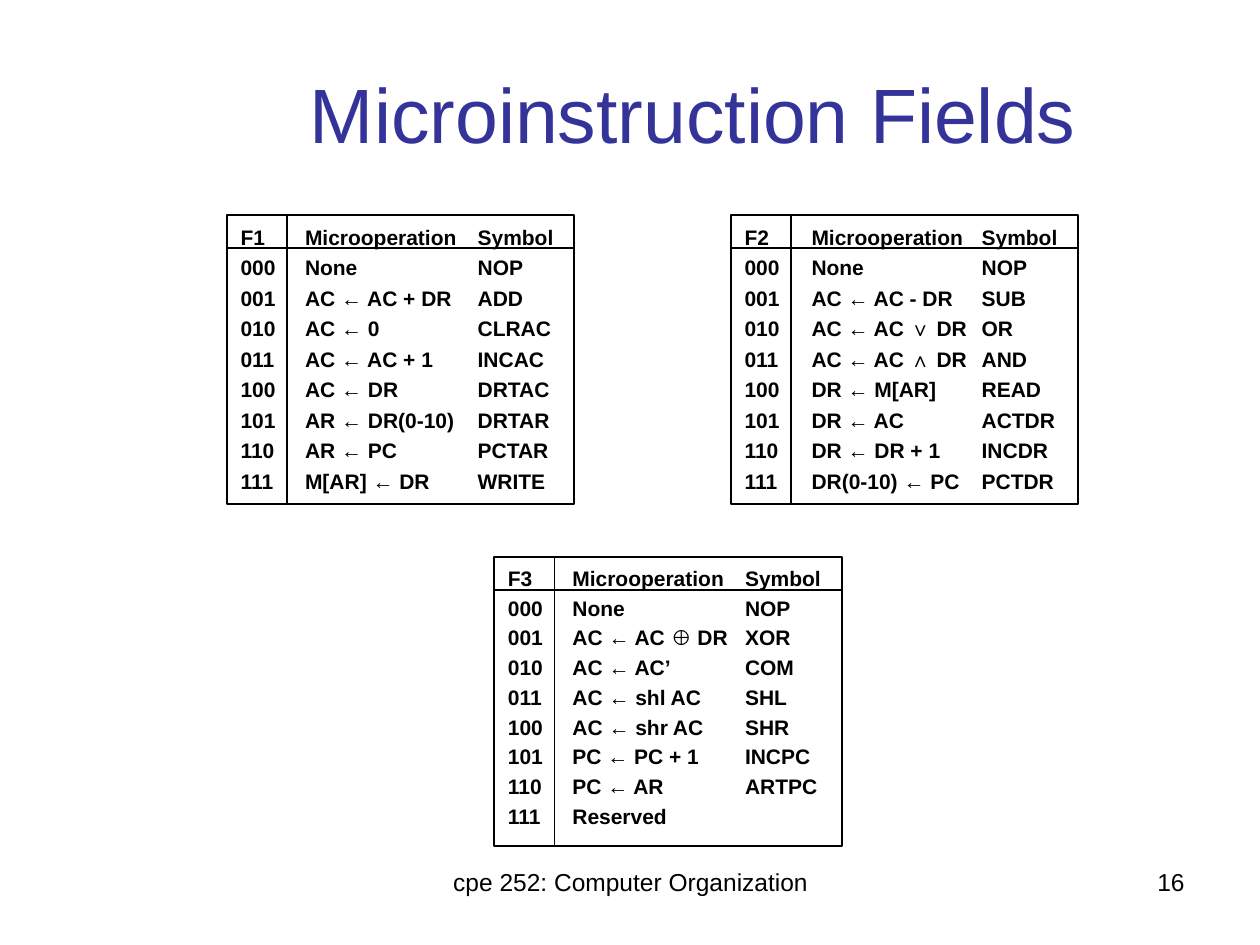
"""Build the slide of microinstruction fields F1, F2 and F3."""
from dataclasses import dataclass

from lxml import etree
from pptx import Presentation
from pptx import util as u
from pptx.dml.color import RGBColor
from pptx.enum import shapes, text
from pptx.oxml import ns


@dataclass(frozen=True)
class Theme:
    font: str = "Arial"
    ink: RGBColor = RGBColor(0, 0, 0)
    heading: RGBColor = RGBColor(0x33, 0x33, 0x99)
    title_size: int = 44
    footer_size: int = 14
    field_size: int = 12
    line_width: int = 1


THEME = Theme()
FRAME_WIDTH, FRAME_HEIGHT = 7.01, 5.82
HEADER_HEIGHT, CODE_WIDTH = 0.66, 1.22
SYMBOL_TAB = 4.78


def add_span(para, words, size, color=THEME.ink, bold=False):
    span = para.add_run()
    span.text = words
    span.font.name = THEME.font
    span.font.size = u.Pt(size)
    span.font.color.rgb = color
    span.font.bold = bold


def add_box(parent, left, top, width, height, inset_x=0.25, inset_y=0.13):
    box = parent.add_textbox(u.Cm(left), u.Cm(top), u.Cm(width), u.Cm(height))
    frame = box.text_frame
    frame.word_wrap = True
    frame.margin_left = frame.margin_right = u.Cm(inset_x)
    frame.margin_top = frame.margin_bottom = u.Cm(inset_y)
    return frame


deck = Presentation()
deck.slide_width, deck.slide_height = u.Cm(25.4), u.Cm(19.05)
page = deck.slides.add_slide(deck.slide_layouts[6])

align = text.PP_ALIGN
labels = [
    ("cpe 252: Computer Organization", (8.69, 17.35, 8.05, 1.32), align.CENTER,
     THEME.footer_size, THEME.ink),
    ("16", (18.21, 17.35, 5.92, 1.32), align.RIGHT, THEME.footer_size, THEME.ink),
    ("Microinstruction Fields", (3.18, 0.69, 21.59, 3.18), align.CENTER,
     THEME.title_size, THEME.heading),
]
for words, place, alignment, size, color in labels:
    frame = add_box(page.shapes, *place)
    if size == THEME.title_size:
        frame.vertical_anchor = text.MSO_ANCHOR.MIDDLE
    frame.paragraphs[0].alignment = alignment
    add_span(frame.paragraphs[0], words, size, color)

fields = [
    ("F1", 4.57, 4.34, 7.62, 1.3, 1.21, [
        ("None", "NOP"), ("AC ← AC + DR", "ADD"), ("AC ← 0", "CLRAC"),
        ("AC ← AC + 1", "INCAC"), ("AC ← DR", "DRTAC"), ("AR ← DR(0-10)", "DRTAR"),
        ("AR ← PC", "PCTAR"), ("M[AR] ← DR", "WRITE")]),
    ("F2", 14.73, 4.34, 10.01, 1.35, 1.21, [
        ("None", "NOP"), ("AC ← AC - DR", "SUB"), ("AC ← AC ∨ DR", "OR"),
        ("AC ← AC ∧ DR", "AND"), ("DR ← M[AR]", "READ"), ("DR ← AC", "ACTDR"),
        ("DR ← DR + 1", "INCDR"), ("DR(0-10) ← PC", "PCTDR")]),
    ("F3", 9.96, 11.23, 11.28, 1.3, 1.18, [
        ("None", "NOP"), ("AC ← AC ⊕ DR", "XOR"), ("AC ← AC’", "COM"),
        ("AC ← shl AC", "SHL"), ("AC ← shr AC", "SHR"), ("PC ← PC + 1", "INCPC"),
        ("PC ← AR", "ARTPC"), ("Reserved",)]),
]
for name, left, top, width, operation_tab, spacing, operations in fields:
    group = page.shapes.add_group_shape()
    frame = add_box(group.shapes, left + 0.1, top, width, 5.6, 0.18, 0.08)
    rows = [(name, "Microoperation", "Symbol")]
    rows += [(f"{code:03b}", *operation) for code, operation in enumerate(operations)]
    for index, row in enumerate(rows):
        para = frame.add_paragraph() if index else frame.paragraphs[0]
        para.line_spacing = spacing
        tabs = etree.SubElement(para._p.get_or_add_pPr(), ns.qn("a:tabLst"))
        for stop in (operation_tab, SYMBOL_TAB):
            etree.SubElement(tabs, ns.qn("a:tab"), pos=str(u.Cm(stop)), algn="l")
        add_span(para, "\t".join(row), THEME.field_size, bold=True)

    outline = group.shapes.add_shape(
        shapes.MSO_SHAPE.RECTANGLE, u.Cm(left), u.Cm(top),
        u.Cm(FRAME_WIDTH), u.Cm(FRAME_HEIGHT))
    outline.shadow.inherit = False
    outline.fill.background()
    outline.line.color.rgb = THEME.ink
    outline.line.width = u.Pt(THEME.line_width)

    right, bottom = left + FRAME_WIDTH, top + FRAME_HEIGHT
    header, divider = top + HEADER_HEIGHT, left + CODE_WIDTH
    for ends in [(left, header, right, header), (divider, top, divider, bottom)]:
        rule = group.shapes.add_connector(
            shapes.MSO_CONNECTOR.STRAIGHT, *(u.Cm(end) for end in ends))
        rule.line.color.rgb = THEME.ink
        rule.line.width = u.Pt(THEME.line_width)
        etree.SubElement(rule._element.spPr, ns.qn("a:effectLst"))

deck.save("out.pptx")
